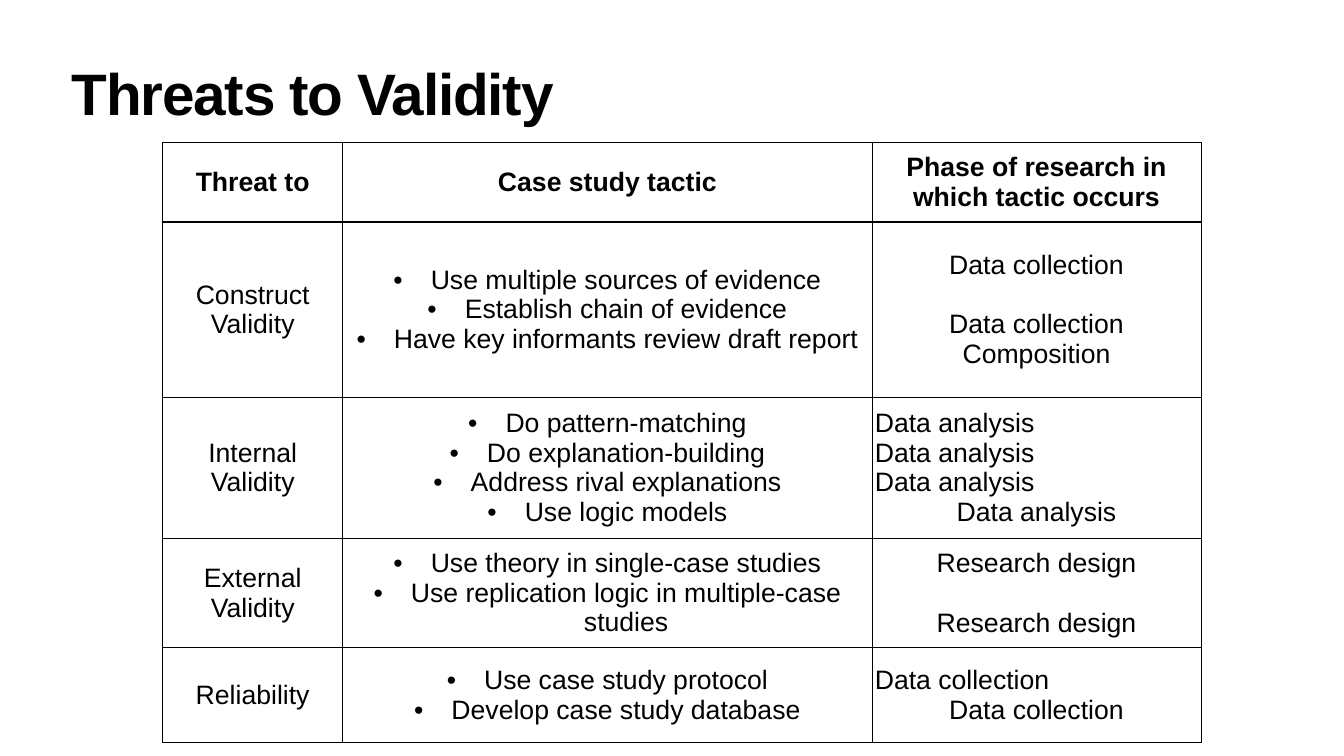
from dataclasses import dataclass

from lxml import etree
from pptx import Presentation
from pptx.dml.color import RGBColor
from pptx.enum.text import MSO_ANCHOR, PP_ALIGN
from pptx.oxml.ns import qn
from pptx.util import Inches, Pt

LEFT, CENTER = PP_ALIGN.LEFT, PP_ALIGN.CENTER
MIDDLE = MSO_ANCHOR.MIDDLE
TITLE_ONLY = 5


@dataclass(frozen=True)
class Theme:
    font: str = "Arial"
    ink: str = "000000"
    paper: str = "FFFFFF"
    title_size: float = 83.5
    title_tracking: float = -1.7
    table_size: float = 38
    blank_line: float = 43
    rule: float = 1
    header_rule: float = 3
    cell_margin: float = 0.05
    bullet_indent: float = 0.74


THEME = Theme()
SLIDE_WIDTH, SLIDE_HEIGHT = 26.67, 15
TABLE_LEFT, TABLE_TOP = 3.23, 2.82
COLUMN_WIDTHS = [3.57, 10.51, 6.52]
ROW_HEIGHTS = [1.59, 3.47, 2.8, 2.17, 1.88]

HEADERS = ["Threat to", "Case study tactic", "Phase of research in which tactic occurs"]

# Each phase is (text, alignment, whether a line is left free above it).
THREATS = [
    ("Construct Validity",
     ["Use multiple sources of evidence", "Establish chain of evidence",
      "Have key informants review draft report"],
     [("Data collection", CENTER, False), ("Data collection", CENTER, True),
      ("Composition", CENTER, False)]),
    ("Internal Validity",
     ["Do pattern-matching", "Do explanation-building",
      "Address rival explanations", "Use logic models"],
     [("Data analysis", LEFT, False)] * 3 + [("Data analysis", CENTER, False)]),
    ("External Validity",
     ["Use theory in single-case studies",
      "Use replication logic in multiple-case studies"],
     [("Research design", CENTER, False), ("Research design", CENTER, True)]),
    ("Reliability",
     ["Use case study protocol", "Develop case study database"],
     [("Data collection", LEFT, False), ("Data collection", CENTER, False)]),
]


def style_font(font, size, bold):
    font.name = THEME.font
    font.size = Pt(size)
    font.bold = bold
    font.color.rgb = RGBColor.from_string(THEME.ink)


def add_bullet(paragraph):
    properties = paragraph._p.get_or_add_pPr()
    indent = Inches(THEME.bullet_indent)
    properties.set("marL", str(indent))
    properties.set("indent", str(-indent))
    etree.SubElement(properties, qn("a:buFont")).set("typeface", THEME.font)
    etree.SubElement(properties, qn("a:buChar")).set("char", "•")


def set_borders(cell, bottom_width):
    """Rule all four sides; the lines must precede the fill in the XML."""
    properties = cell._tc.get_or_add_tcPr()
    for index, side in enumerate("LRTB"):
        line = etree.Element(qn(f"a:ln{side}"))
        width = bottom_width if side == "B" else THEME.rule
        line.set("w", str(Pt(width)))
        fill = etree.SubElement(line, qn("a:solidFill"))
        etree.SubElement(fill, qn("a:srgbClr")).set("val", THEME.ink)
        properties.insert(index, line)


def fill_cell(cell, entries, bold=False, bulleted=False, bottom_width=THEME.rule):
    margin = Inches(THEME.cell_margin)
    cell.margin_left = cell.margin_right = margin
    cell.margin_top = cell.margin_bottom = margin
    cell.vertical_anchor = MIDDLE
    cell.fill.solid()
    cell.fill.fore_color.rgb = RGBColor.from_string(THEME.paper)
    set_borders(cell, bottom_width)
    frame = cell.text_frame
    for index, (text, alignment, gap_above) in enumerate(entries):
        paragraph = frame.add_paragraph() if index else frame.paragraphs[0]
        paragraph.text = text
        paragraph.alignment = alignment
        if gap_above:
            paragraph.space_before = Pt(THEME.blank_line)
        if bulleted:
            add_bullet(paragraph)
        style_font(paragraph.font, THEME.table_size, bold)


def centered(*texts):
    return [(text, CENTER, False) for text in texts]


def add_title(slide, text):
    title = slide.shapes.title
    title.left, title.top = Inches(1.32), Inches(1.18)
    title.width, title.height = Inches(11.46), Inches(1.57)
    frame = title.text_frame
    frame.text = text
    frame.word_wrap = True
    frame.vertical_anchor = MIDDLE
    frame.margin_left = frame.margin_right = Inches(0.1)
    frame.margin_top = frame.margin_bottom = Inches(0.1)
    paragraph = frame.paragraphs[0]
    paragraph.alignment = LEFT
    paragraph.line_spacing = 0.8
    style_font(paragraph.font, THEME.title_size, True)
    tracking = str(round(THEME.title_tracking * 100))
    paragraph.runs[0].font._element.set("spc", tracking)


def add_threat_table(slide):
    table = slide.shapes.add_table(
        len(ROW_HEIGHTS), len(COLUMN_WIDTHS), Inches(TABLE_LEFT), Inches(TABLE_TOP),
        Inches(sum(COLUMN_WIDTHS)), Inches(sum(ROW_HEIGHTS))).table
    for column, width in zip(table.columns, COLUMN_WIDTHS):
        column.width = Inches(width)
    for row, height in zip(table.rows, ROW_HEIGHTS):
        row.height = Inches(height)
    for column, header in enumerate(HEADERS):
        fill_cell(table.cell(0, column), centered(header), bold=True,
                  bottom_width=THEME.header_rule)
    for row, (threat, tactics, phases) in enumerate(THREATS, start=1):
        fill_cell(table.cell(row, 0), centered(threat))
        fill_cell(table.cell(row, 1), centered(*tactics), bulleted=True)
        fill_cell(table.cell(row, 2), phases)


def main():
    presentation = Presentation()
    presentation.slide_width = Inches(SLIDE_WIDTH)
    presentation.slide_height = Inches(SLIDE_HEIGHT)
    slide = presentation.slides.add_slide(presentation.slide_layouts[TITLE_ONLY])
    add_title(slide, "Threats to Validity")
    add_threat_table(slide)
    presentation.save("out.pptx")


if __name__ == "__main__":
    main()
